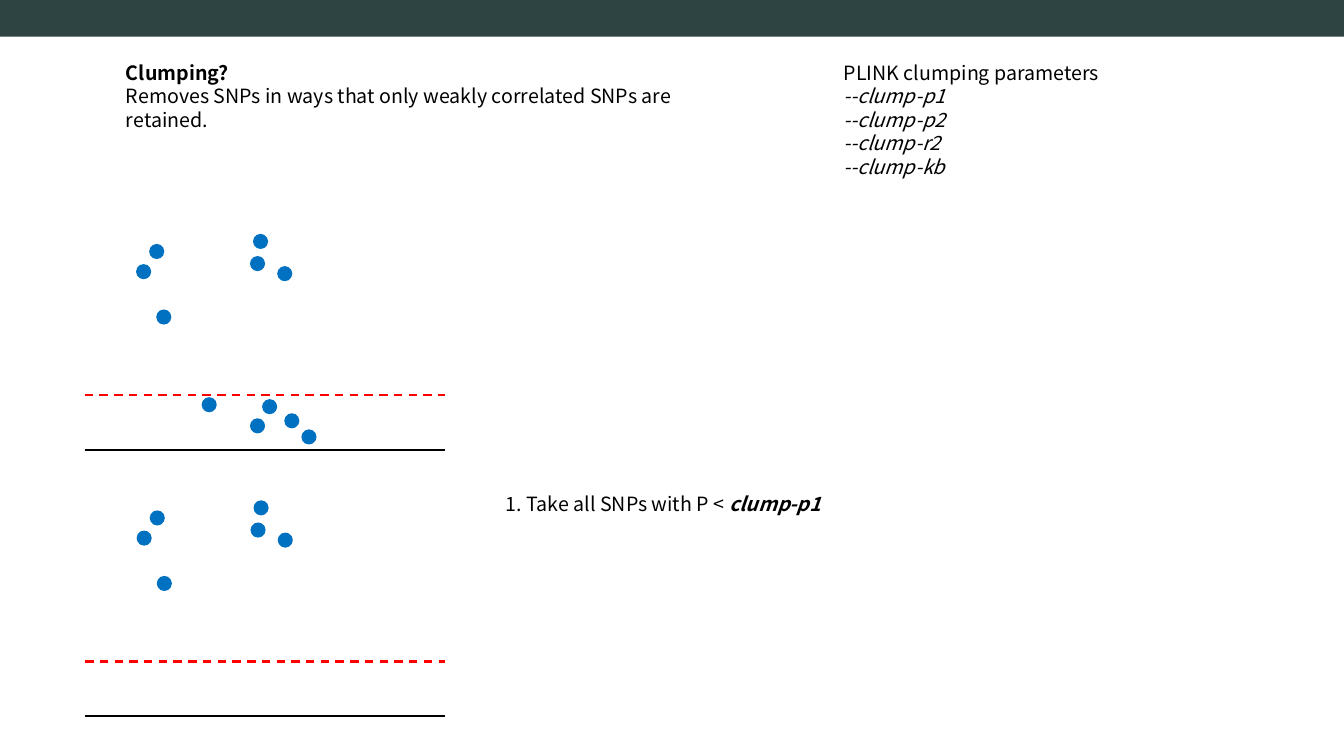
"""Build a slide that explains the first step of SNP clumping."""
from dataclasses import dataclass

from lxml import etree
from pptx import Presentation
from pptx import util as u
from pptx.dml.color import RGBColor
from pptx.enum import dml, shapes, text
from pptx.oxml.ns import qn

COLUMNS, ROWS = 160, 90
CELL = u.Inches(1 / 12)
FONT = "Noto Sans CJK KR"
COLORS = {
    "band": "2D4443",
    "panel": "FFFFFF",
    "text": "000000",
    "axis": "000000",
    "threshold": "FF0000",
    "snp": "0070C0",
}


@dataclass(frozen=True)
class Area:
    column: float
    row: float
    columns: float
    rows: float

    def emu(self) -> tuple[int, ...]:
        return tuple(round(n * CELL) for n in (self.column, self.row, self.columns, self.rows))


@dataclass(frozen=True)
class Phrase:
    words: str
    bold: bool = False
    italic: bool = False


@dataclass(frozen=True)
class Snp:
    column: float
    row: float


@dataclass(frozen=True)
class Level:
    row: float
    color: str
    dashed: bool = False


SIGNIFICANT = [
    Snp(22.08, 1.2), Snp(21.72, 3.84), Snp(24.96, 5.04),
    Snp(8.16, 4.8), Snp(10.56, 10.2), Snp(9.72, 2.4),
]
WEAK = [
    Snp(23.16, 20.88), Snp(15.96, 20.64), Snp(21.72, 23.16),
    Snp(25.8, 22.56), Snp(27.84, 24.48),
]
LEVELS = [Level(26.88, "axis"), Level(20.4, "threshold", dashed=True)]
SNP_SIZE = 1.8
LEVEL_START, LEVEL_END = 2.04, 44.88

DEFINITION = [
    [Phrase("Clumping?", bold=True)],
    [Phrase("Removes SNPs in ways that only weakly correlated SNPs are retained.")],
]
PARAMETERS = [[Phrase("PLINK clumping parameters")]] + [
    [Phrase(f"--clump-{name}", italic=True)] for name in ("p1", "p2", "r2", "kb")
]
FIRST_STEP = [[Phrase("1. Take all SNPs with P < "), Phrase("clump-p1", bold=True, italic=True)]]


def rgb(name: str) -> RGBColor:
    return RGBColor.from_string(COLORS[name])


def write(box, area: Area, lines: list[list[Phrase]]) -> None:
    box.left, box.top, box.width, box.height = area.emu()
    frame = box.text_frame
    frame.word_wrap = True
    frame.auto_size = text.MSO_AUTO_SIZE.SHAPE_TO_FIT_TEXT
    frame.vertical_anchor = text.MSO_ANCHOR.TOP
    for number, phrases in enumerate(lines):
        paragraph = frame.add_paragraph() if number else frame.paragraphs[0]
        properties = paragraph._p.get_or_add_pPr()
        properties.set("marL", "0")
        properties.set("indent", "0")
        etree.SubElement(properties, qn("a:buNone"))
        paragraph.alignment = text.PP_ALIGN.LEFT
        paragraph.line_spacing = u.Pt(16.8)
        paragraph.space_before = u.Pt(0)
        for phrase in phrases:
            run = paragraph.add_run()
            run.text = phrase.words
            run.font.name = FONT
            run.font.size = u.Pt(14)
            run.font.bold = phrase.bold
            run.font.italic = phrase.italic
            run.font.color.rgb = rgb("text")


def draw_shape(parent, kind: shapes.MSO_SHAPE, area: Area, color: str) -> None:
    shape = parent.add_shape(kind, *area.emu())
    shape.shadow.inherit = False
    shape.fill.solid()
    shape.fill.fore_color.rgb = rgb(color)
    shape.line.fill.background()


def draw_level(parent, panel: Area, level: Level) -> None:
    start, y, length, _ = Area(
        panel.column + LEVEL_START, panel.row + level.row, LEVEL_END - LEVEL_START, 0
    ).emu()
    line = parent.add_connector(shapes.MSO_CONNECTOR.STRAIGHT, start, y, start + length, y)
    line.line.color.rgb = rgb(level.color)
    line.line.width = u.Pt(1.5)
    if level.dashed:
        line.line.dash_style = dml.MSO_LINE.DASH
    etree.SubElement(line._element.spPr, qn("a:effectLst"))


def draw_plot(parent, panel: Area, snps: list[Snp]) -> None:
    draw_shape(parent, shapes.MSO_SHAPE.RECTANGLE, panel, "panel")
    for level in LEVELS:
        draw_level(parent, panel, level)
    for snp in snps:
        dot = Area(panel.column + snp.column, panel.row + snp.row, SNP_SIZE, SNP_SIZE)
        draw_shape(parent, shapes.MSO_SHAPE.OVAL, dot, "snp")


def main() -> None:
    deck = Presentation()
    deck.slide_width, deck.slide_height = COLUMNS * CELL, ROWS * CELL
    slide = deck.slides.add_slide(deck.slide_layouts[1])
    draw_shape(slide.shapes, shapes.MSO_SHAPE.RECTANGLE, Area(0, 0, COLUMNS, 4.36), "band")
    write(slide.shapes.title, Area(13.8, 6.6, 74.88, 6.84), DEFINITION)
    write(slide.placeholders[1], Area(99.24, 6.6, 40.32, 15.36), PARAMETERS)

    all_snps = slide.shapes.add_group_shape().shapes
    draw_plot(all_snps, Area(8.04, 26.64, 46.2, 28.44), SIGNIFICANT + WEAK)

    selection = slide.shapes.add_group_shape().shapes
    step_area = Area(59.04, 57.96, 46.2, 4.08)
    write(selection.add_textbox(*step_area.emu()), step_area, FIRST_STEP)
    draw_plot(selection, Area(8.1, 58.36, 46.2, 28.44), SIGNIFICANT)
    deck.save("out.pptx")


if __name__ == "__main__":
    main()
